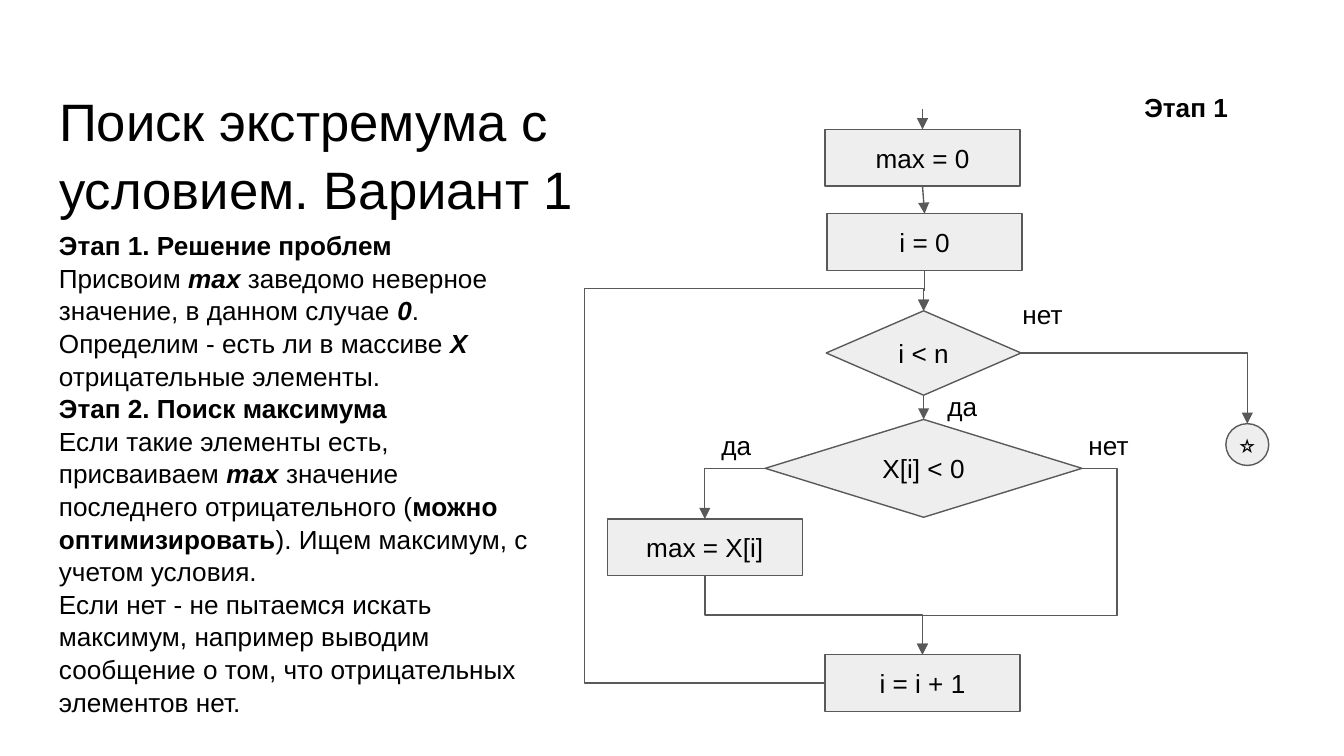
from lxml.etree import SubElement
from pptx import Presentation
from pptx.dml.color import RGBColor
from pptx.enum.shapes import MSO_CONNECTOR, MSO_SHAPE
from pptx.enum.text import MSO_ANCHOR, MSO_AUTO_SIZE, PP_ALIGN
from pptx.oxml.ns import qn
from pptx.util import Pt

COLORS = {"text": "000000", "fill": "EEEEEE", "line": "595959", "page": "FFFFFF"}
FONT = "Arial"
SIZE = 14
INSET = 7.2
STEP = (104.4, 30.3)
TOP, LEFT, BOTTOM, RIGHT = 0, 1, 2, 3

EXPLANATION = [
    [("Этап 1. Решение проблем", "b")],
    [("Присвоим ", ""), ("max ", "bi"),
     ("заведомо неверное значение, в данном случае ", ""), ("0", "bi"), (".", "")],
    [("Определим - есть ли в массиве ", ""), ("X ", "bi"),
     ("отрицательные элементы.", "")],
    [("Этап 2. Поиск максимума", "b")],
    [("Если такие элементы есть, присваиваем ", ""), ("max ", "bi"),
     ("значение последнего отрицательного (", ""), ("можно оптимизировать", "b"),
     ("). Ищем максимум, с учетом условия.", "")],
    [("Если нет - не пытаемся искать максимум, например выводим сообщение о том, "
      "что отрицательных элементов нет.", "")],
]


def color(name):
    return RGBColor.from_string(COLORS[name])


def style_span(span, size=SIZE, marks=""):
    span.font.name = FONT
    span.font.size = Pt(size)
    span.font.bold = "b" in marks
    span.font.italic = "i" in marks
    span.font.color.rgb = color("text")


def set_frame(frame, anchor=MSO_ANCHOR.TOP, inset=INSET):
    frame.word_wrap = True
    frame.auto_size = MSO_AUTO_SIZE.NONE
    frame.vertical_anchor = anchor
    frame.margin_left = frame.margin_right = Pt(inset)
    frame.margin_top = frame.margin_bottom = Pt(inset)


def place_title(page, left, top, width, height):
    title = page.shapes.title
    title.left, title.top = Pt(left), Pt(top)
    title.width, title.height = Pt(width), Pt(height)
    set_frame(title.text_frame)
    title.text_frame.text = "Поиск экстремума с условием. Вариант 1"
    para = title.text_frame.paragraphs[0]
    para.alignment = PP_ALIGN.LEFT
    para.line_spacing = 1.07
    style_span(para.runs[0], 28.2)


def add_label(page, text, left, top, width=41, height=31.7,
              align=PP_ALIGN.LEFT, marks=""):
    label = page.shapes.add_textbox(Pt(left), Pt(top), Pt(width), Pt(height))
    set_frame(label.text_frame)
    label.text_frame.text = text
    para = label.text_frame.paragraphs[0]
    para.alignment = align
    style_span(para.runs[0], marks=marks)


def place_explanation(page, left, top, width, height):
    box = page.shapes.add_textbox(Pt(left), Pt(top), Pt(width), Pt(height))
    frame = box.text_frame
    set_frame(frame)
    for index, parts in enumerate(EXPLANATION):
        para = frame.add_paragraph() if index else frame.paragraphs[0]
        para.line_spacing = 1.04
        for text, marks in parts:
            span = para.add_run()
            span.text = text
            style_span(span, marks=marks)


def add_node(page, kind, text, center, top, size, inset=INSET):
    width, height = size
    node = page.shapes.add_shape(
        kind, Pt(center - width / 2), Pt(top), Pt(width), Pt(height))
    node.shadow.inherit = False
    node.fill.solid()
    node.fill.fore_color.rgb = color("fill")
    node.line.color.rgb = color("line")
    node.line.width = Pt(0.75)
    set_frame(node.text_frame, MSO_ANCHOR.MIDDLE, inset)
    node.text_frame.text = text
    para = node.text_frame.paragraphs[0]
    para.alignment = PP_ALIGN.CENTER
    style_span(para.runs[0])
    return node


def style_arrow(arrow):
    arrow.line.color.rgb = color("line")
    arrow.line.width = Pt(0.75)
    line = arrow.line._get_or_add_ln()
    SubElement(line, qn("a:tailEnd"), type="triangle")
    SubElement(arrow._element.spPr, qn("a:effectLst"))


def join(page, source, source_side, target, target_side,
         kind=MSO_CONNECTOR.STRAIGHT):
    arrow = page.shapes.add_connector(kind, 0, 0, 0, 0)
    arrow.begin_connect(source, source_side)
    arrow.end_connect(target, target_side)
    style_arrow(arrow)
    return arrow


def bend(page, source, source_side, target, target_side, preset, *adjustments):
    arrow = join(page, source, source_side, target, target_side, MSO_CONNECTOR.ELBOW)
    geometry = arrow._element.spPr.find(qn("a:prstGeom"))
    geometry.set("prst", preset)
    guides = geometry.find(qn("a:avLst"))
    if guides is None:
        guides = SubElement(geometry, qn("a:avLst"))
    for number, share in enumerate(adjustments, 1):
        name = "adj1" if preset == "bentConnector3" else f"adj{number}"
        SubElement(guides, qn("a:gd"), name=name, fmla=f"val {round(share * 100000)}")
    return arrow


def drop(page, source, target):
    arrow = bend(page, source, BOTTOM, target, TOP, "bentConnector3", 0.5)
    across = arrow.end_x - arrow.begin_x
    down = arrow.end_y - arrow.begin_y
    middle_x = (arrow.begin_x + arrow.end_x) // 2
    middle_y = (arrow.begin_y + arrow.end_y) // 2
    arrow.begin_x, arrow.end_x = middle_x - down // 2, middle_x + down // 2
    arrow.begin_y, arrow.end_y = middle_y + across // 2, middle_y - across // 2
    arrow._element.spPr.find(qn("a:xfrm")).set("rot", str(90 * 60000))


def place_flowchart(page, left, top):
    axis = left + 180.2
    step, choice = MSO_SHAPE.RECTANGLE, MSO_SHAPE.DIAMOND
    start = add_node(page, step, "max = 0", axis, top + 10.8, STEP)
    counter = add_node(page, step, "i = 0", axis + 1.1, top + 56, STEP)
    update = add_node(page, step, "max = X[i]", left + 63.6, top + 219.6, STEP)
    advance = add_node(page, step, "i = i + 1", axis, top + 292.3, STEP)
    loop = add_node(page, choice, "i < n", axis + 0.6, top + 108, (104.4, 45.2))
    check = add_node(page, choice, "X[i] < 0", axis + 0.6, top + 166.2, (169.7, 52.4))
    finish = add_node(page, MSO_SHAPE.OVAL, "⭐", left + 354.2, top + 168.5,
                      (23, 22.4), 0)

    entry = page.shapes.add_connector(
        MSO_CONNECTOR.STRAIGHT, Pt(axis), Pt(top), Pt(axis), Pt(top + 10.8))
    entry.end_connect(start, TOP)
    style_arrow(entry)
    join(page, start, BOTTOM, counter, TOP)
    join(page, loop, BOTTOM, check, TOP)
    drop(page, counter, loop)
    drop(page, update, advance)
    bend(page, loop, RIGHT, finish, TOP, "bentConnector2")
    bend(page, check, LEFT, update, TOP, "bentConnector2")
    bend(page, check, RIGHT, advance, TOP, "bentConnector4", -0.22, 0.79)
    bend(page, advance, LEFT, loop, TOP, "bentConnector4", -2.44, 1.06)

    for text, x, y in [("нет", 226.7, 94.3), ("да", 186.4, 143.3),
                       ("да", 65.4, 164.2), ("нет", 262, 164.2)]:
        add_label(page, text, left + x, top + y)


def main():
    deck = Presentation()
    deck.slide_width, deck.slide_height = Pt(720), Pt(405)
    page = deck.slides.add_slide(deck.slide_layouts[5])
    page.background.fill.solid()
    page.background.fill.fore_color.rgb = color("page")
    place_title(page, 24.5, 38.2, 296.6, 77)
    place_explanation(page, 24.5, 115.2, 268.6, 269.3)
    place_flowchart(page, 314, 58.5)
    add_label(page, "Этап 1", 581.8, 41.8, 107.3, align=PP_ALIGN.CENTER, marks="b")
    deck.save("out.pptx")


if __name__ == "__main__":
    main()
